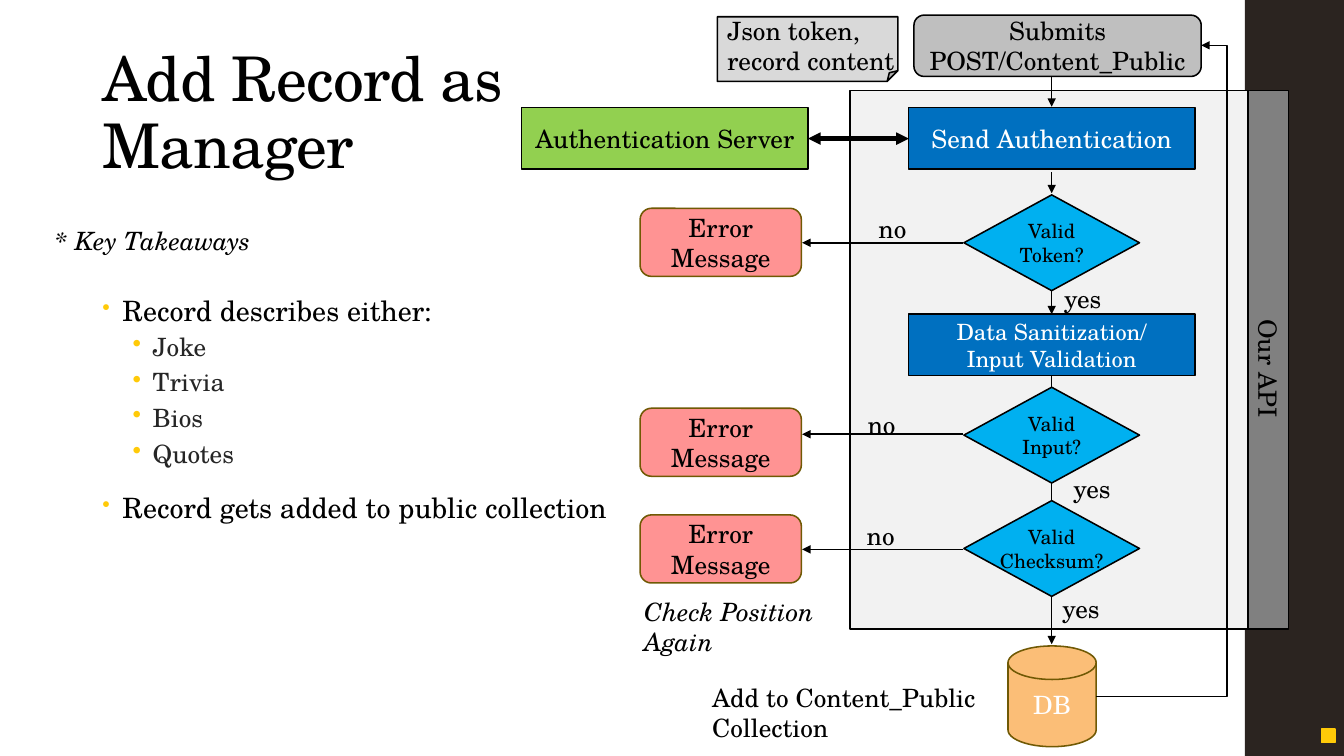
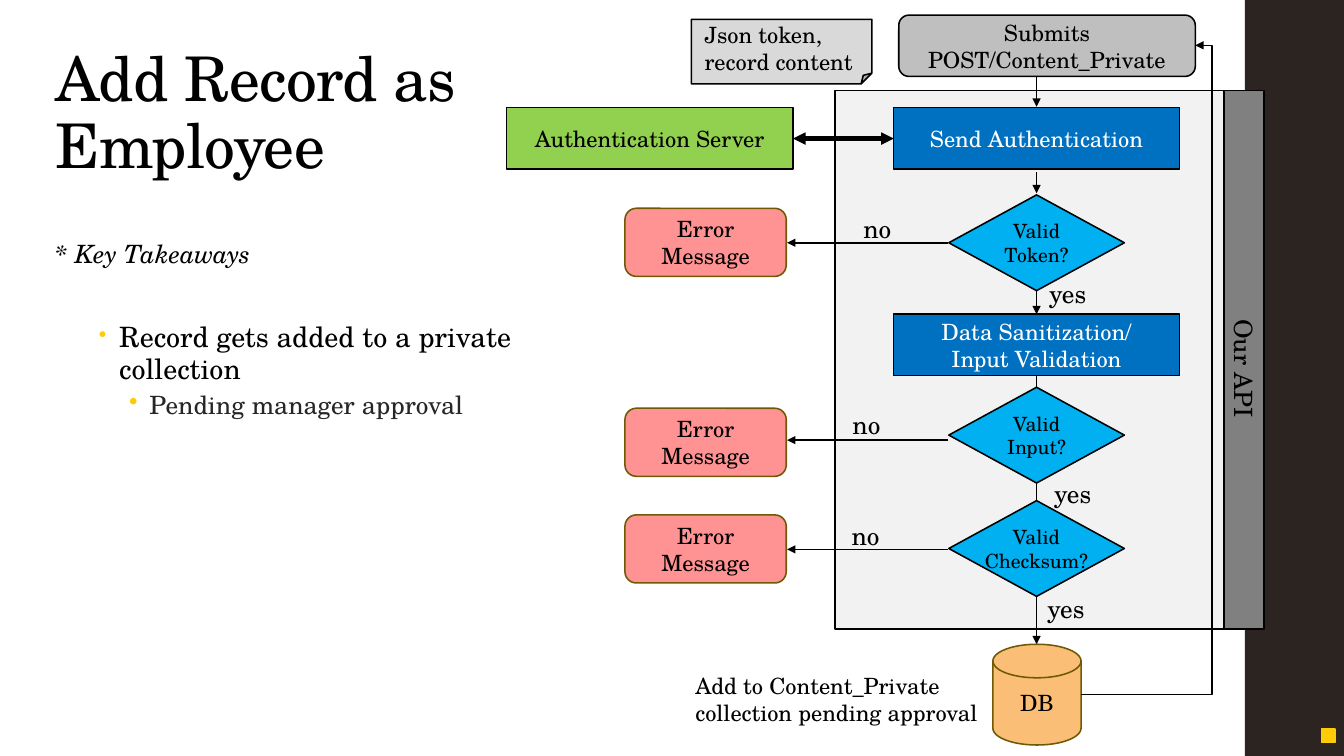
from lxml.etree import SubElement
from pptx import Presentation
from pptx.dml.color import RGBColor
from pptx.enum.shapes import MSO_CONNECTOR as LINE, MSO_SHAPE as SHAPE
from pptx.enum.text import MSO_ANCHOR as ANCHOR, MSO_AUTO_SIZE as FIT, PP_ALIGN as ALIGN
from pptx.oxml.ns import qn
from pptx.util import Inches, Pt

FONT = "TeX Gyre Schola"
COLORS = {
    "black": "000000", "white": "FFFFFF", "band": "2B2420", "accent": "FFCA08",
    "note": "D9D9D9", "panel": "F2F2F2", "api": "808080", "submit": "BFBFBF",
    "process": "0070C0", "server": "92D050", "decision": "00B0F0",
    "error": "FF9393", "database": "FBBE77", "olive": "705904", "detail": "262626",
}
COLORS = {name: RGBColor.from_string(value) for name, value in COLORS.items()}

presentation = Presentation()
presentation.slide_width, presentation.slide_height = Inches(13.33), Inches(7.5)
COLUMN = presentation.slide_width / 160
ROW = presentation.slide_height / 90


def draw(slide, kind, left, top, width, height, fill=None, line="black", text="",
         size=18, color="black", align=ALIGN.CENTER, italic=False, wrap=True):
    frame = [round(left * COLUMN), round(top * ROW), round(width * COLUMN), round(height * ROW)]
    if kind is None:
        shape = slide.shapes.add_textbox(*frame)
        align = ALIGN.LEFT
    else:
        shape = slide.shapes.add_shape(kind, *frame)
        shape.shadow.inherit = False
        shape.fill.solid()
        shape.fill.fore_color.rgb = COLORS[fill]
        if line:
            shape.line.color.rgb = COLORS[line]
            shape.line.width = Pt(1.1)
        else:
            shape.line.fill.background()
    if text:
        shape.text_frame.word_wrap = wrap
        shape.text_frame.text = text
        for paragraph in shape.text_frame.paragraphs:
            paragraph.alignment = align
            font = paragraph.font
            font.name, font.size, font.italic = FONT, Pt(size), italic
            font.color.rgb = COLORS[color]
    return shape


def connect(slide, start, end, width=1.1, both=False, bus=None):
    ends = [round(value * unit) for point in (start, end) for value, unit in zip(point, (COLUMN, ROW))]
    connector = slide.shapes.add_connector(LINE.STRAIGHT if bus is None else LINE.ELBOW, *ends)
    connector.line.color.rgb = COLORS["black"]
    connector.line.width = Pt(width)
    properties = connector.element.spPr
    outline = properties.find(qn("a:ln"))
    if both:
        SubElement(outline, qn("a:headEnd"), type="triangle")
    SubElement(outline, qn("a:tailEnd"), type="triangle")
    SubElement(properties, qn("a:effectLst"))
    if bus is not None:
        share = round((bus - start[0]) / (end[0] - start[0]) * 100000)
        guides = properties.find(qn("a:prstGeom")).get_or_add_avLst()
        SubElement(guides, qn("a:gd"), name="adj1", fmla=f"val {share}")


FLOWS = [
    {
        "title": "Add Record as Manager", "title_box": (11, 54.6), "takeaways_top": 26.2,
        "body_box": (11, 34.6, 64.4, 30),
        "body": [
            (0, "Record describes either:"), (1, "Joke"), (1, "Trivia"), (1, "Bios"),
            (1, "Quotes"), (0, "Record gets added to public collection"),
        ],
        "axis": 125.2, "size": 18, "note": (85.4, 2), "note_text": (85.4, 1.2),
        "submit": (108.8, 34.2), "submit_text": "Submits POST/Content_Public",
        "api_offset": 23.4, "input_arrow": 51.7,
        "yes": [(0.3, 33.2), (1.4, 55.7), (0.1, 70.1)],
        "disk_top": 76.9, "disk_color": "white",
        "store_box": (83.6, 80.6, 43.2, 8.5), "store": "Add to Content_Public Collection",
        "reminder": "Check Position Again",
    },
    {
        "title": "Add Record as Employee", "title_box": (5.4, 53.3), "takeaways_top": 27.8,
        "body_box": (10.6, 37.7, 57.8, 30),
        "body": [
            (0, "Record gets added to a private collection"), (1, "Pending manager approval"),
        ],
        "axis": 123.4, "size": 16, "note": (82.3, 2.3), "note_text": (82.7, 1.9),
        "submit": (107, 35.3), "submit_text": "Submits POST/Content_Private",
        "api_offset": 22.3, "input_arrow": 52.4,
        "yes": [(0.3, 32.6), (0.9, 56.3), (0.1, 70.1)],
        "disk_top": 76.7, "disk_color": "black",
        "store_box": (81.6, 79.4, 37.6, 7.7),
        "store": "Add to Content_Private collection pending approval",
        "reminder": "",
    },
]

layout = presentation.slide_layouts[5]
slides = [presentation.slides.add_slide(layout) for flow in FLOWS]

side_band = draw(slides[0], SHAPE.RECTANGLE, 148.2, 0, 11.8, 90, "band", None)
corner_mark = draw(slides[0], SHAPE.RECTANGLE, 157.3, 86.8, 1.6, 1.6, "accent", "accent")
for shape in (side_band, corner_mark):
    layout.shapes.element.append(shape.element)

for slide, flow in zip(slides, FLOWS):
    axis, size = flow["axis"], flow["size"]

    title = slide.shapes.title
    left, width = flow["title_box"]
    title.left, title.top = round(left * COLUMN), round(4.8 * ROW)
    title.width, title.height = round(width * COLUMN), round(17.4 * ROW)
    title.text_frame.text = flow["title"]
    title.text_frame.word_wrap = True
    title.text_frame.auto_size = FIT.NONE
    title.text_frame.vertical_anchor = ANCHOR.BOTTOM
    paragraph = title.text_frame.paragraphs[0]
    paragraph.alignment, paragraph.line_spacing = ALIGN.LEFT, 0.9
    paragraph.font.name, paragraph.font.size = FONT, Pt(44)
    paragraph.font.color.rgb = COLORS["black"]
    paragraph._p.pPr.find(qn("a:defRPr")).set("spc", "-50")

    draw(slide, None, 5.4, flow["takeaways_top"], 51.2, 4.8, text="* Key Takeaways", italic=True)
    body = draw(slide, None, *flow["body_box"], text="\n".join(text for _, text in flow["body"]))
    for paragraph, (level, _) in zip(body.text_frame.paragraphs, flow["body"]):
        paragraph.level = level
        paragraph.line_spacing = (0.95, 0.9)[level]
        paragraph.space_before, paragraph.space_after = Pt((14, 3)[level]), Pt((2, 3)[level])
        paragraph.font.size = Pt((20, 18)[level])
        paragraph.font.color.rgb = COLORS[("black", "detail")[level]]
        properties = paragraph._p.pPr
        properties.set("marL", str(Inches((0.2, 0.5)[level])))
        properties.set("indent", str(Inches(-0.2)))
        defaults = properties.find(qn("a:defRPr"))
        bullet_color = SubElement(properties, qn("a:buClr"))
        SubElement(bullet_color, qn("a:srgbClr"), val=str(COLORS["accent"]))
        SubElement(properties, qn("a:buSzPct"), val=("80000", "100000")[level])
        SubElement(properties, qn("a:buChar"), char="•")
        properties.append(defaults)

    draw(slide, SHAPE.FOLDED_CORNER, *flow["note"], 21.5, 7.7, "note")
    draw(slide, None, *flow["note_text"], 24.4, 8, text="Json token, record content", size=size)

    draw(slide, SHAPE.RECTANGLE, axis - 24, 10.8, 47.8, 64.1, "panel")
    api_left = axis + flow["api_offset"]
    draw(slide, SHAPE.RECTANGLE, api_left, 10.8, 4.8, 64.1, "api")
    api_label = draw(slide, None, api_left + 2.4 - 10, 44.4, 20, 4.8, text="Our API")
    api_label.rotation = 90

    for top, bottom in ((6.7, 12.7), (20.5, 23), (33.7, 37.4), (44.8, 76.7)):
        connect(slide, (axis, top), (axis, bottom))
    connect(slide, (axis - 29, 16.5), (axis - 17, 16.5), 3, both=True)

    submit_left, submit_width = flow["submit"]
    draw(slide, SHAPE.ROUNDED_RECTANGLE, submit_left, 1.8, submit_width, 7.3, "submit",
         text=flow["submit_text"], size=size)
    for left, top, fill, text, text_size, color in (
        (axis - 63.1, 12.8, "server", "Authentication Server", size, "black"),
        (axis - 17.05, 12.8, "process", "Send Authentication", size, "white"),
        (axis - 17.05, 37.4, "process", "Data Sanitization/\nInput Validation", 16, "white"),
    ):
        draw(slide, SHAPE.RECTANGLE, left, top, 34.1, 7.3, fill, text=text, size=text_size, color=color)

    for subject, top, error_top, arrow, no_left, no_top in (
        ("Token?", 23.2, 24.8, 28.9, -21.8, 24.8),
        ("Input?", 46.1, 48.6, flow["input_arrow"], -23.1, 48.1),
        ("Checksum?", 59.6, 61.3, 65.4, -23.2, 61.3),
    ):
        decision = draw(slide, SHAPE.DIAMOND, axis - 10.45, top, 20.9, 11.4, "decision",
                        text=f"Valid\n{subject}", size=14, wrap=False)
        decision.text_frame.margin_top = decision.text_frame.margin_bottom = 0
        draw(slide, SHAPE.ROUNDED_RECTANGLE, axis - 49, error_top, 19.2, 8.1, "error", "olive",
             "Error Message", size)
        connect(slide, (axis - 10.5, arrow), (axis - 29.7, arrow))
        draw(slide, None, axis + no_left, no_top, 7.7, 4.8, text="no")
    for left, top in flow["yes"]:
        draw(slide, None, axis + left, top, 7.7, 4.8, text="yes")

    disk_top = flow["disk_top"]
    draw(slide, SHAPE.FLOWCHART_MAGNETIC_DISK, axis - 5.2, disk_top, 10.5, 12, "database", "olive",
         "DB", size, flow["disk_color"])
    connect(slide, (axis + 5.3, disk_top + 6), (submit_left + submit_width, 5.4), bus=axis + 20.9)
    draw(slide, None, *flow["store_box"], text=flow["store"], size=size)
    if flow["reminder"]:
        draw(slide, None, 75.5, 70.4, 30.5, 8.5, text=flow["reminder"], italic=True)

presentation.save("out.pptx")
